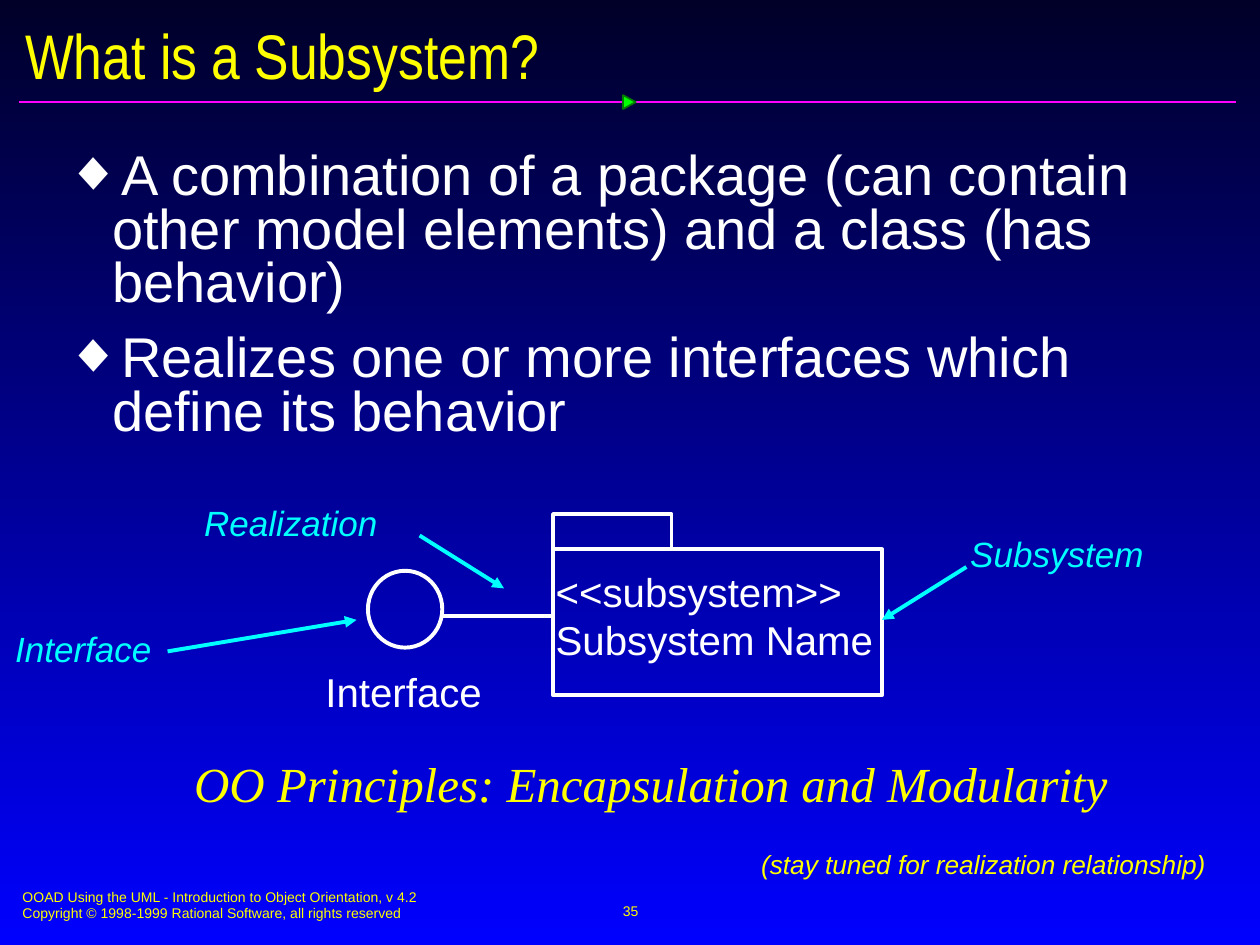
"""Build the slide that explains what a subsystem is."""
from dataclasses import dataclass

from lxml import etree
from pptx import Presentation
from pptx.dml.color import RGBColor
from pptx.enum.shapes import MSO_CONNECTOR, MSO_SHAPE
from pptx.enum.text import MSO_ANCHOR, MSO_AUTO_SIZE, PP_ALIGN
from pptx.oxml.ns import qn
from pptx.util import Inches, Pt

COLS, ROWS = 100, 75
WHITE = RGBColor(0xFF, 0xFF, 0xFF)
YELLOW = RGBColor(0xFF, 0xFF, 0x00)
CYAN = RGBColor(0x00, 0xFF, 0xFF)
PINK = RGBColor(0xFF, 0x01, 0xFF)
LIME = RGBColor(0x00, 0xFF, 0x00)
GREEN = RGBColor(0x03, 0x7C, 0x03)
NAVY = RGBColor(0x00, 0x00, 0x28)
BLUE = RGBColor(0x00, 0x00, 0xFF)
LEFT, CENTER = PP_ALIGN.LEFT, PP_ALIGN.CENTER
TOP, MIDDLE = MSO_ANCHOR.TOP, MSO_ANCHOR.MIDDLE
STRAIGHT = MSO_CONNECTOR.STRAIGHT
RECT, OVAL, WEDGE = MSO_SHAPE.RECTANGLE, MSO_SHAPE.OVAL, MSO_SHAPE.ISOSCELES_TRIANGLE
BOLD_LINE = 2.25

deck = Presentation()
deck.slide_width, deck.slide_height = Inches(10), Inches(7.5)
COL, ROW = deck.slide_width / COLS, deck.slide_height / ROWS


@dataclass
class Box:
    """A frame in grid columns and rows."""
    x: float
    y: float
    w: float
    h: float

    def frame(self) -> tuple[int, int, int, int]:
        """Give the frame in slide units."""
        return (round(self.x * COL), round(self.y * ROW),
                round(self.w * COL), round(self.h * ROW))


@dataclass
class Note:
    """A cyan label with the arrow that leads from it."""
    text: str
    box: Box
    start: tuple[float, float]
    end: tuple[float, float]


NOTES = [
    Note("Interface", Box(0, 49.2, 14.2, 4.5), (13.3, 51.7), (28.3, 49.2)),
    Note("Realization", Box(15, 39.2, 17.5, 4.5), (33.3, 42.5), (40, 46.7)),
    Note("Subsystem", Box(75.8, 41.7, 17.5, 4.5), (76.7, 45), (70, 49.2)),
]


def put_bullet(para, mark: str, color: RGBColor) -> None:
    """Give a paragraph a hanging bullet."""
    props = para._p.get_or_add_pPr()
    props.set("marL", str(Inches(0.37)))
    props.set("indent", str(-Inches(0.37)))
    tint = etree.SubElement(props, qn("a:buClr"))
    etree.SubElement(tint, qn("a:srgbClr")).set("val", str(color))
    etree.SubElement(props, qn("a:buFont")).set("typeface", "Arial")
    etree.SubElement(props, qn("a:buChar")).set("char", mark)


def put_text(shape, *lines: str, size: float, color: RGBColor = YELLOW,
             font: str = "Arial", italic: bool = False, align=LEFT,
             anchor=TOP, pad: tuple[float, float] = (0.12, 0.06),
             wrap: bool = True, mark: str = "", gap: float = 0,
             pitch: float = 1.0) -> None:
    """Fill a shape with formatted paragraphs."""
    frame = shape.text_frame
    frame.auto_size = MSO_AUTO_SIZE.NONE
    frame.word_wrap, frame.vertical_anchor = wrap, anchor
    frame.margin_left = frame.margin_right = Inches(pad[0])
    frame.margin_top = frame.margin_bottom = Inches(pad[1])
    for i, line in enumerate(lines):
        para = frame.add_paragraph() if i else frame.paragraphs[0]
        para.alignment, para.line_spacing = align, pitch
        para.space_before = Pt(gap if i else 0)
        if mark:
            put_bullet(para, mark, color)
        run = para.add_run()
        run.text = line
        run.font.name, run.font.size = font, Pt(size)
        run.font.italic, run.font.bold = italic, False
        run.font.color.rgb = color


def add_text(page, box: Box, *lines: str, **style) -> None:
    """Add a text box with formatted paragraphs."""
    put_text(page.shapes.add_textbox(*box.frame()), *lines, **style)


def add_line(page, start: tuple[float, float], end: tuple[float, float],
             color: RGBColor, width: float = BOLD_LINE, arrow: bool = False) -> None:
    """Draw a line between two grid points."""
    (x1, y1), (x2, y2) = start, end
    line = page.shapes.add_connector(
        STRAIGHT, round(x1 * COL), round(y1 * ROW), round(x2 * COL), round(y2 * ROW))
    line.line.color.rgb, line.line.width = color, Pt(width)
    if arrow:
        etree.SubElement(line.line._get_or_add_ln(), qn("a:tailEnd")).set("type", "triangle")
    etree.SubElement(line._element.spPr, qn("a:effectLst"))


def add_form(page, kind, box: Box, edge: RGBColor = WHITE, width: float = BOLD_LINE,
             fill: RGBColor | None = None, turn: float = 0) -> None:
    """Draw a preset shape, hollow unless a fill is given."""
    form = page.shapes.add_shape(kind, *box.frame())
    form.shadow.inherit = False
    form.rotation = turn
    form.line.color.rgb, form.line.width = edge, Pt(width)
    if fill is None:
        form.fill.background()
    else:
        form.fill.solid()
        form.fill.fore_color.rgb = fill


def paint_back(page) -> None:
    """Shade the background from navy down to blue."""
    fill = page.background.fill
    fill.gradient()
    fill.gradient_angle = 270
    for stop, color, spot in zip(fill.gradient_stops, (NAVY, BLUE), (0, 1)):
        stop.color.rgb, stop.position = color, spot


def add_frame(page) -> None:
    """Add the title, its rule and the footer."""
    title = page.shapes.title
    title.left, title.top, title.width, title.height = Box(1, 1.4, 98.4, 5.8).frame()
    put_text(title, "What is a Subsystem?", size=36, font="Arial Narrow",
             anchor=MIDDLE, pad=(0.1, 0.05))
    add_line(page, (1.5, 8.1), (98.1, 8.1), PINK, 1)
    add_form(page, WEDGE, Box(49.4, 7.6, 1.1, 1), GREEN, 1, LIME, 90)
    add_text(page, Box(0.8, 70, 51, 3.7),
             "OOAD Using the UML - Introduction to Object Orientation, v 4.2",
             "Copyright © 1998-1999 Rational Software, all rights reserved",
             size=8, pad=(0.1, 0.05))
    add_text(page, Box(34.2, 69.8, 31.7, 5), "35", size=8, align=CENTER,
             anchor=MIDDLE, pad=(0.1, 0.05))


def add_model(page) -> None:
    """Draw the subsystem, its interface and their labels."""
    add_form(page, RECT, Box(43.9, 43.6, 26.1, 11.6))
    add_form(page, RECT, Box(43.9, 40.8, 9.4, 2.8))
    add_text(page, Box(44.1, 45, 25.3, 7.7), "<<subsystem>>", "Subsystem Name",
             size=23, color=WHITE, pad=(0, 0), wrap=False)
    add_form(page, OVAL, Box(29.1, 45.4, 6.1, 5.9), turn=90)
    add_line(page, (35.1, 48.9), (43.9, 48.9), WHITE)
    add_text(page, Box(20.8, 52.5, 22.5, 4.9), "Interface", size=23, color=WHITE,
             align=CENTER, pad=(0.1, 0.05))
    for note in NOTES:
        add_text(page, note.box, note.text, size=20, color=CYAN, italic=True)
        add_line(page, note.start, note.end, CYAN, arrow=True)


def main() -> None:
    """Build and save the slide."""
    page = deck.slides.add_slide(deck.slide_layouts[5])
    paint_back(page)
    add_frame(page)
    add_text(page, Box(4, 11.5, 92.9, 25),
             "A combination of a package (can contain other model elements) "
             "and a class (has behavior)",
             "Realizes one or more interfaces which define its behavior",
             size=32, color=WHITE, mark="◆", gap=12, pitch=0.8)
    add_model(page)
    add_text(page, Box(10, 59.2, 83.3, 5.9), "OO Principles: Encapsulation and Modularity",
             size=28, font="Times New Roman", italic=True, align=CENTER)
    add_text(page, Box(59.2, 66.7, 40.8, 3.7), "(stay tuned for realization relationship)",
             size=15, italic=True)
    deck.save("out.pptx")


if __name__ == "__main__":
    main()
